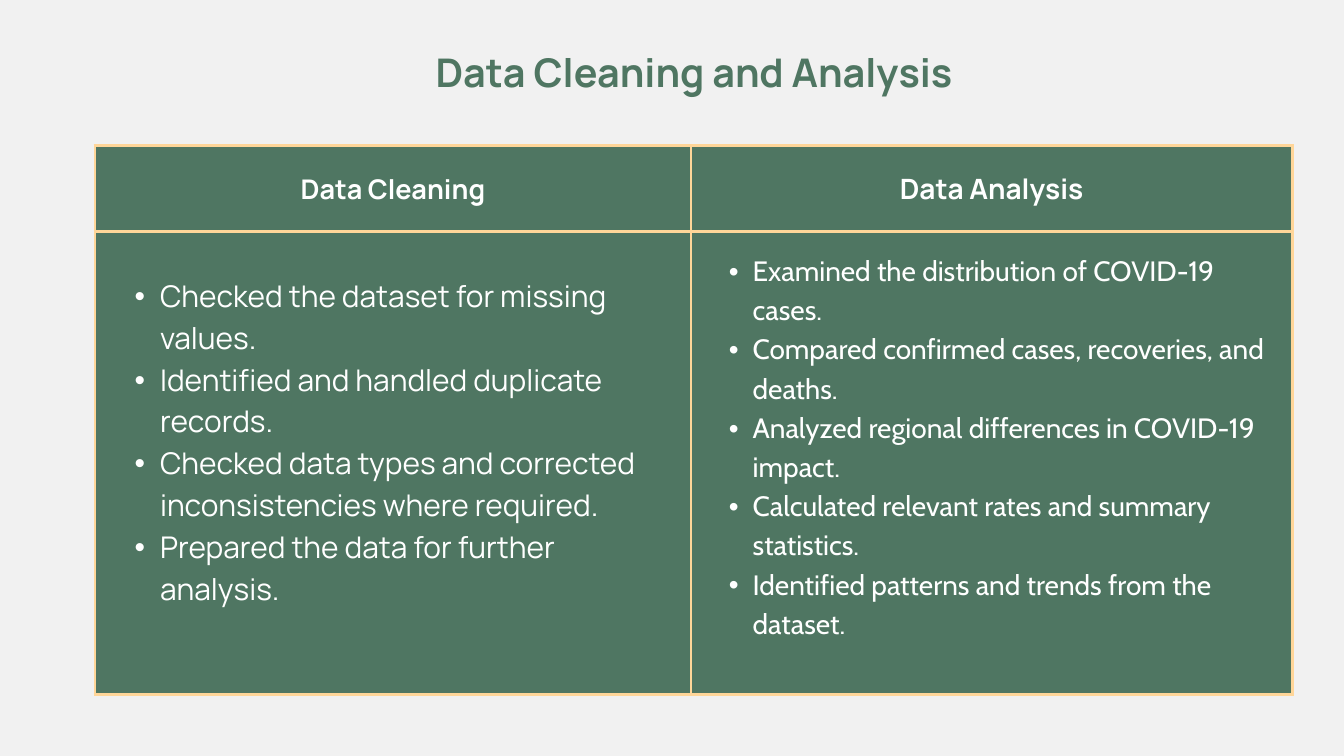
"""Build the Data Cleaning and Analysis slide with a two-column table."""
from dataclasses import dataclass

import lxml.etree
import pptx
import pptx.dml.color
import pptx.enum.text
import pptx.oxml.ns
import pptx.slide
import pptx.table
import pptx.text.text
import pptx.util
from pptx.util import Cm

COLORS = {"background": "F1F1F1", "green": "4F7662", "border": "FFD699", "white": "FFFFFF"}
LINE_RATIO = 1.4
ROW_HEIGHTS = (Cm(3.25), Cm(17.5))
qn = pptx.oxml.ns.qn


@dataclass
class Column:
    heading: str
    heading_size: float
    items: list[str]
    item_size: float
    item_font: str
    indent: float
    bottom_margin: float
    width: float


COLUMNS = [
    Column("Data Cleaning", 29, [
        "Checked the dataset for missing values.",
        "Identified and handled duplicate records.",
        "Checked data types and corrected inconsistencies where required.",
        "Prepared the data for further analysis.",
    ], 32, "Manrope", 1.93, 2.12, 22.53),
    Column("Data Analysis", 30, [
        "Examined the distribution of COVID-19 cases.",
        "Compared confirmed cases, recoveries, and deaths.",
        "Analyzed regional differences in COVID-19 impact.",
        "Calculated relevant rates and summary statistics.",
        "Identified patterns and trends from the dataset.",
    ], 30, "Cabin", 1.8, 1.85, 22.73),
]


def rgb(name: str) -> pptx.dml.color.RGBColor:
    return pptx.dml.color.RGBColor.from_string(COLORS[name])


def format_paragraph(p: pptx.text.text._Paragraph, size: float, font: str, color: str,
                     bold: bool, line: float) -> None:
    p.line_spacing = pptx.util.Pt(line)
    p.space_before = pptx.util.Pt(0)
    for r in p.runs:
        r.font.size = pptx.util.Pt(size)
        r.font.name = font
        r.font.bold = bold
        r.font.color.rgb = rgb(color)


def add_bullet(p: pptx.text.text._Paragraph, indent: float) -> None:
    p.level = 1
    pPr = p._p.get_or_add_pPr()
    pPr.set("marL", str(Cm(indent)))
    pPr.set("indent", str(-Cm(indent / 2)))
    font = lxml.etree.SubElement(pPr, qn("a:buFont"))
    font.set("typeface", "Arial")
    lxml.etree.SubElement(pPr, qn("a:buChar")).set("char", "•")


def style_cell(cell: pptx.table._Cell) -> None:
    tcPr = cell._tc.get_or_add_tcPr()
    for side in ("a:lnL", "a:lnR", "a:lnT", "a:lnB"):
        ln = lxml.etree.SubElement(tcPr, qn(side), w=str(pptx.util.Pt(3)))
        fill = lxml.etree.SubElement(ln, qn("a:solidFill"))
        lxml.etree.SubElement(fill, qn("a:srgbClr"), val=COLORS["border"])
    cell.fill.solid()
    cell.fill.fore_color.rgb = rgb("green")
    cell.vertical_anchor = pptx.enum.text.MSO_ANCHOR.MIDDLE
    cell.margin_left = cell.margin_right = Cm(0.53)
    cell.margin_top = cell.margin_bottom = Cm(0.53)


def fill_column(table: pptx.table.Table, index: int, column: Column) -> None:
    table.columns[index].width = Cm(column.width)
    head, body = table.cell(0, index), table.cell(1, index)
    style_cell(head)
    style_cell(body)
    body.margin_bottom = Cm(column.bottom_margin)

    head.text_frame.text = column.heading
    p = head.text_frame.paragraphs[0]
    p.alignment = pptx.enum.text.PP_ALIGN.CENTER
    format_paragraph(p, column.heading_size, "Manrope", "white", True,
                     column.heading_size * LINE_RATIO)

    body.text_frame.text = "\n".join(column.items)
    for p in body.text_frame.paragraphs:
        add_bullet(p, column.indent)
        format_paragraph(p, column.item_size, column.item_font, "white", False,
                         column.item_size * LINE_RATIO)


def add_title(s: pptx.slide.Slide, text: str) -> None:
    sp = s.shapes.title
    sp.left, sp.top, sp.width, sp.height = Cm(8.49), Cm(2.11), Cm(35.48), Cm(3.15)
    tf = sp.text_frame
    tf.text = text
    tf.word_wrap = True
    tf.auto_size = pptx.enum.text.MSO_AUTO_SIZE.SHAPE_TO_FIT_TEXT
    tf.vertical_anchor = pptx.enum.text.MSO_ANCHOR.TOP
    tf.margin_left = tf.margin_right = tf.margin_top = tf.margin_bottom = 0
    p = tf.paragraphs[0]
    p.alignment = pptx.enum.text.PP_ALIGN.CENTER
    format_paragraph(p, 42.3, "Manrope", "green", True, 42.3)


def add_table(s: pptx.slide.Slide) -> None:
    width = Cm(sum(column.width for column in COLUMNS))
    table = s.shapes.add_table(len(ROW_HEIGHTS), len(COLUMNS), Cm(3.59), Cm(5.5),
                               width, sum(ROW_HEIGHTS)).table
    table.first_row = table.horz_banding = False
    for row, height in zip(table.rows, ROW_HEIGHTS):
        row.height = height
    for index, column in enumerate(COLUMNS):
        fill_column(table, index, column)


def main() -> None:
    prs = pptx.Presentation()
    prs.slide_width, prs.slide_height = Cm(50.8), Cm(28.58)
    s = prs.slides.add_slide(prs.slide_layouts.get_by_name("Title Only"))
    s.background.fill.solid()
    s.background.fill.fore_color.rgb = rgb("background")
    add_table(s)
    add_title(s, "Data Cleaning and Analysis")
    prs.save("out.pptx")


if __name__ == "__main__":
    main()
